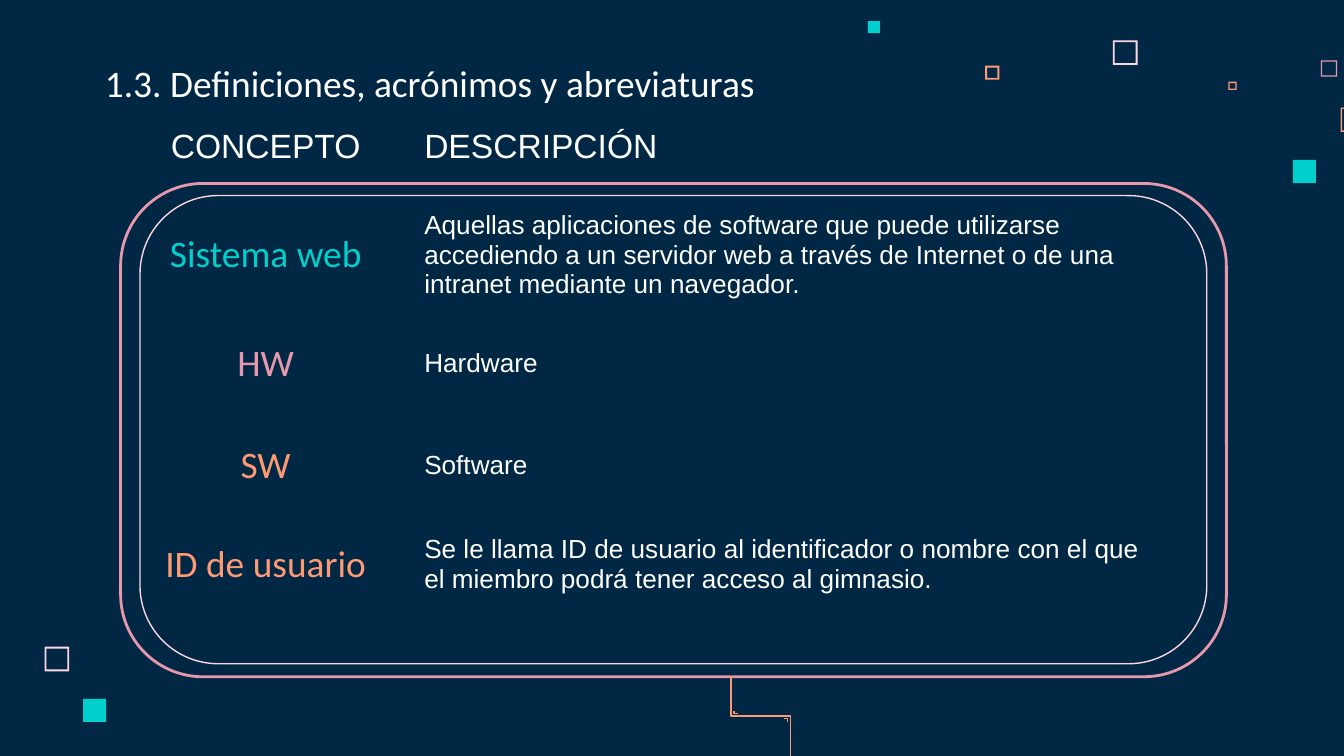
from pptx import Presentation
from pptx import util as u
from pptx.dml.color import RGBColor
from pptx.enum import shapes, text

Pt = u.Pt
NAVY = RGBColor(0x00, 0x28, 0x45)
WHITE = RGBColor(0xFF, 0xFF, 0xFF)
TEAL = RGBColor(0x00, 0xCF, 0xCC)
PINK = RGBColor(0xE8, 0x98, 0xAC)
PALE = RGBColor(0xFF, 0xD6, 0xE1)
CORAL = RGBColor(0xFF, 0x99, 0x73)
PLAIN = "{2D5ABB26-0587-4C30-8999-92F81FD0307C}"
KIND = shapes.MSO_SHAPE
LEFT, MID = text.PP_ALIGN.LEFT, text.PP_ALIGN.CENTER


def write(frame, words, size=14, font="Arial", color=WHITE, align=LEFT):
    para = frame.paragraphs[0]
    para.alignment = align
    run = para.add_run()
    run.text = words
    run.font.size = Pt(size)
    run.font.name = font
    run.font.color.rgb = color


class Deck:
    pad = Pt(7.2)
    cols = (155.5, 404.5)

    def __init__(self):
        self.prs = Presentation()
        self.prs.slide_width, self.prs.slide_height = Pt(720), Pt(405)
        self.slide = self.prs.slides.add_slide(self.prs.slide_layouts[5])
        fill = self.slide.background.fill
        fill.solid()
        fill.fore_color.rgb = NAVY

    def inset(self, item):
        item.margin_left = item.margin_right = self.pad
        item.margin_top = item.margin_bottom = self.pad

    def title(self, words, x, y, w, h):
        box = self.slide.shapes.title
        box.left, box.top, box.width, box.height = map(Pt, (x, y, w, h))
        frame = box.text_frame
        frame.word_wrap = True
        frame.auto_size = text.MSO_AUTO_SIZE.NONE
        frame.vertical_anchor = text.MSO_ANCHOR.BOTTOM
        self.inset(frame)
        write(frame, words, size=20, font="Calibri")

    def shape(self, kind, x, y, w, h):
        item = self.slide.shapes.add_shape(kind, *map(Pt, (x, y, w, h)))
        item.shadow.inherit = False
        return item

    def square(self, x, y, size, color, edge=0):
        item = self.shape(KIND.FRAME if edge else KIND.RECTANGLE, x, y, size, size)
        if edge:
            item.adjustments[0] = edge / size
        item.fill.solid()
        item.fill.fore_color.rgb = color
        item.line.fill.background()

    def stroke(self, item, color, width):
        item.fill.background()
        item.line.color.rgb = color
        item.line.width = Pt(width)

    def panel(self, x, y, w, h, color, width):
        item = self.shape(KIND.ROUNDED_RECTANGLE, x, y, w, h)
        item.adjustments[0] = 0.167
        self.stroke(item, color, width)

    def trace(self, points, color, width):
        start, *rest = [(Pt(x), Pt(y)) for x, y in points]
        pen = self.slide.shapes.build_freeform(*start)
        pen.add_line_segments(rest, close=False)
        item = pen.convert_to_shape()
        item.shadow.inherit = False
        self.stroke(item, color, width)

    def table(self, x, y, rows, high, head=None):
        tall = ([44.6] if head else []) + [high] * len(rows)
        item = self.slide.shapes.add_table(
            len(tall), 2, Pt(x), Pt(y), Pt(sum(self.cols)), Pt(sum(tall)))
        item.element.xpath(".//a:tableStyleId")[0].text = PLAIN
        grid = item.table
        grid.first_row = grid.horz_banding = False
        for col, width in zip(grid.columns, self.cols):
            col.width = Pt(width)
        for row, height in zip(grid.rows, tall):
            row.height = Pt(height)
        for cell in grid.iter_cells():
            cell.fill.background()
            self.inset(cell)
        if head:
            for col, (words, align) in enumerate(zip(head, (MID, LEFT))):
                write(grid.cell(0, col).text_frame, words, size=18, align=align)
        for row, (term, color, note) in enumerate(rows, len(tall) - len(rows)):
            name, desc = grid.cell(row, 0), grid.cell(row, 1)
            name.vertical_anchor = desc.vertical_anchor = text.MSO_ANCHOR.MIDDLE
            write(name.text_frame, term, size=20, font="Calibri", color=color, align=MID)
            write(desc.text_frame, note)


SQUARES = [
    (596.2, 21.6, 13.2, PALE, 1),
    (707.6, 32.4, 8.7, PINK, 0.7),
    (658.1, 43.8, 4.4, CORAL, 0.7),
    (718.2, 57.6, 13, CORAL, 0.8),
    (692.6, 85.7, 12.4, TEAL),
    (527.8, 35.2, 7.5, CORAL, 1),
    (464.9, 11.3, 6.5, TEAL),
    (23.9, 346.5, 13.2, PALE, 1),
    (44.5, 374.4, 12.4, TEAL),
]
TRACES = [
    [(391.7, 362.9), (391.7, 383.6), (423.4, 383.6), (423.4, 427)],
    [(419.8, 385), (422, 385), (422, 386.6)],
    [(393.2, 380.9), (393.2, 382.3), (395.3, 382.3)],
]
TERMS = [
    ("Sistema web", TEAL,
     "Aquellas aplicaciones de software que puede utilizarse accediendo a un "
     "servidor web a través de Internet o de una intranet mediante un navegador."),
    ("HW", PINK, "Hardware"),
    ("SW", CORAL, "Software"),
]
USER = [
    ("ID de usuario", CORAL,
     "Se le llama ID de usuario al identificador o nombre con el que el miembro "
     "podrá tener acceso al gimnasio."),
]


def main():
    deck = Deck()
    for square in SQUARES:
        deck.square(*square)
    deck.panel(64.6, 98.3, 592.4, 264.3, PINK, 1.5)
    deck.panel(75, 104.8, 571.5, 250.8, PALE, 0.75)
    deck.title("1.3. Definiciones, acrónimos y abreviaturas", 49, 18, 413.3, 45.4)
    deck.table(64.6, 61.2, TERMS, 54.7, head=("CONCEPTO", "DESCRIPCIÓN"))
    for points in TRACES:
        deck.trace(points, CORAL, 0.75)
    deck.table(64.6, 275, USER, 54.7)
    deck.prs.save("out.pptx")


if __name__ == "__main__":
    main()
